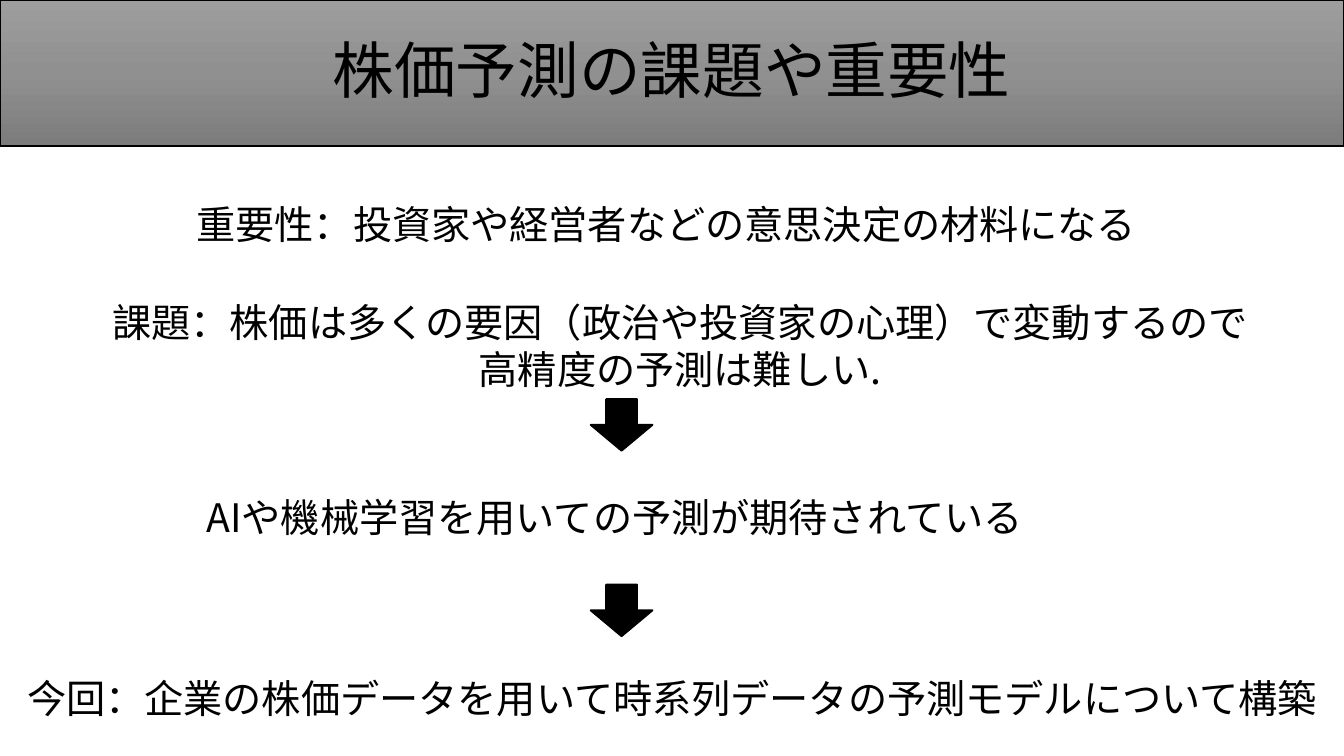
from dataclasses import dataclass
from copy import deepcopy

from lxml import etree
from pptx import Presentation
from pptx.dml.color import RGBColor
from pptx.enum.shapes import MSO_SHAPE
from pptx.enum.text import MSO_ANCHOR, MSO_AUTO_SIZE, PP_ALIGN
from pptx.oxml.ns import qn
from pptx.util import Inches, Pt

RECTANGLE, DOWN_ARROW = MSO_SHAPE.RECTANGLE, MSO_SHAPE.DOWN_ARROW
LEFT, CENTER = PP_ALIGN.LEFT, PP_ALIGN.CENTER
MIDDLE = MSO_ANCHOR.MIDDLE
GROW = MSO_AUTO_SIZE.SHAPE_TO_FIT_TEXT

FONT = "Noto Sans CJK JP"
COLORS = {
    "ink": "000000",
    "band_top": "9D9D9D",
    "band_middle": "909090",
    "band_bottom": "7C7C7C",
}
SLIDE_WIDTH, SLIDE_HEIGHT = 13.33, 7.5


@dataclass
class Statement:
    text: str
    left: float
    top: float
    width: float
    height: float = 0.57
    wrap: bool = False
    alignment: PP_ALIGN = LEFT


STATEMENTS = [
    Statement("課題：株価は多くの要因（政治や投資家の心理）で変動するので高精度の予測は難しい.",
              0.91, 2.91, 11.67, 1.04, True, CENTER),
    Statement("重要性：投資家や経営者などの意思決定の材料になる", 1.85, 1.94, 9.63),
    Statement("AIや機械学習を用いての予測が期待されている", 1.95, 4.84, 8.42),
    Statement("今回：企業の株価データを用いて時系列データの予測モデルについて構築",
              0.17, 6.64, 13.16),
]
ARROW_TOPS = [3.96, 5.8]


def color(name: str) -> RGBColor:
    return RGBColor.from_string(COLORS[name])


def write(paragraph, text: str, size: float, alignment: PP_ALIGN) -> None:
    paragraph.text = text
    paragraph.alignment = alignment
    font = paragraph.font
    font.size = Pt(size)
    font.color.rgb = color("ink")
    font.name = FONT
    # Japanese glyphs take the East Asian typeface
    properties = paragraph._p.pPr.find(qn("a:defRPr"))
    etree.SubElement(properties, qn("a:ea"), typeface=FONT)


def add_outlined_shape(slide, kind: MSO_SHAPE, left: float, top: float,
                       width: float, height: float, line_width: float):
    shape = slide.shapes.add_shape(kind, Inches(left), Inches(top),
                                   Inches(width), Inches(height))
    shape.shadow.inherit = False
    shape.line.color.rgb = color("ink")
    shape.line.width = Pt(line_width)
    return shape


def add_title_band(slide, text: str) -> None:
    band = add_outlined_shape(slide, RECTANGLE, 0, 0, SLIDE_WIDTH, 1.45, 1)
    band.fill.gradient()
    band.fill.gradient_angle = 270
    # Third gradient stop, halfway down
    stop_list = band._element.spPr.find(qn("a:gradFill")).find(qn("a:gsLst"))
    stop_list.insert(1, deepcopy(stop_list[0]))
    names = ("band_top", "band_middle", "band_bottom")
    for index, (stop, name) in enumerate(zip(band.fill.gradient_stops, names)):
        stop.position = index / 2
        stop.color.rgb = color(name)
    band.text_frame.vertical_anchor = MIDDLE
    paragraph = band.text_frame.paragraphs[0]
    write(paragraph, text, 44, CENTER)
    paragraph.line_spacing = 0.9


def add_statement(slide, statement: Statement) -> None:
    box = slide.shapes.add_textbox(Inches(statement.left), Inches(statement.top),
                                   Inches(statement.width), Inches(statement.height))
    frame = box.text_frame
    frame.word_wrap = statement.wrap
    frame.auto_size = GROW
    write(frame.paragraphs[0], statement.text, 28, statement.alignment)


def add_arrow(slide, top: float) -> None:
    arrow = add_outlined_shape(slide, DOWN_ARROW, 5.86, top, 0.61, 0.51, 1.5)
    arrow.fill.solid()
    arrow.fill.fore_color.rgb = color("ink")


def main() -> None:
    presentation = Presentation()
    presentation.slide_width = Inches(SLIDE_WIDTH)
    presentation.slide_height = Inches(SLIDE_HEIGHT)
    slide = presentation.slides.add_slide(presentation.slide_layouts[6])

    add_title_band(slide, "株価予測の課題や重要性")
    for statement in STATEMENTS:
        add_statement(slide, statement)
    for top in ARROW_TOPS:
        add_arrow(slide, top)

    presentation.save("out.pptx")


if __name__ == "__main__":
    main()
